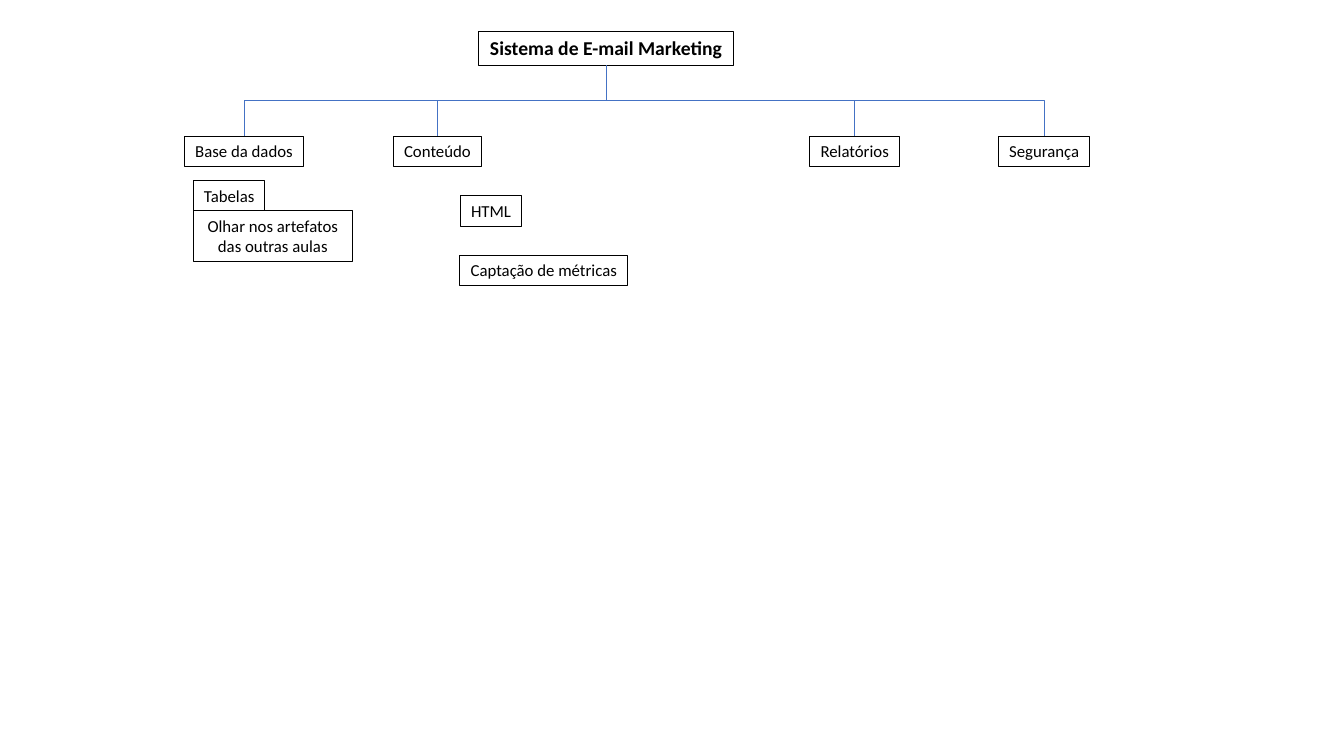
from lxml.etree import SubElement
from pptx import Presentation
from pptx.dml.color import RGBColor
from pptx.enum.shapes import MSO_CONNECTOR, MSO_SHAPE
from pptx.enum.text import MSO_ANCHOR, MSO_AUTO_SIZE, PP_ALIGN
from pptx.oxml.ns import qn
from pptx.util import Pt

BLACK = "000000"
BLUE = "4472C4"
HIGH = 21.8
ROW = 97.2
AREAS = [
    ("Base da dados", 131.8, 85),
    ("Conteúdo", 281.2, 62.6),
    ("Relatórios", 578.5, 64.1),
    ("Segurança", 713.5, 64.8),
]
ITEMS = [
    ("Tabelas", 138.2, 128.9, 51.1),
    ("HTML", 329.2, 139.7, 43.2),
    ("Captação de métricas", 328.4, 182.3, 120.2),
]


def color(code):
    return RGBColor.from_string(code)


def style(box, text, fit, size=12, bold=False, wrap=False):
    box.fill.background()
    box.line.color.rgb = color(BLACK)
    box.line.width = Pt(0.75)
    frame = box.text_frame
    frame.word_wrap = wrap
    frame.auto_size = fit
    frame.vertical_anchor = MSO_ANCHOR.TOP
    para = frame.paragraphs[0]
    para.alignment = PP_ALIGN.CENTER
    run = para.add_run()
    run.text = text
    font = run.font
    font.name = "Calibri"
    font.size = Pt(size)
    font.bold = bold
    font.color.rgb = color(BLACK)


def add_head(slide, text, left, top, width, height):
    head = slide.shapes.title
    head.left, head.top = Pt(left), Pt(top)
    head.width, head.height = Pt(width), Pt(height)
    style(head, text, MSO_AUTO_SIZE.NONE, 14, True)
    return head


def add_box(slide, text, left, top, width, height=HIGH, wrap=False):
    box = slide.shapes.add_shape(
        MSO_SHAPE.RECTANGLE, Pt(left), Pt(top), Pt(width), Pt(height))
    box.shadow.inherit = False
    style(box, text, MSO_AUTO_SIZE.SHAPE_TO_FIT_TEXT, wrap=wrap)
    return box


def add_link(slide, head, box):
    link = slide.shapes.add_connector(MSO_CONNECTOR.ELBOW, 0, 0, 0, 0)
    link.begin_connect(head, 2)
    link.end_connect(box, 0)
    start, end = link.begin_x, link.end_x
    top, drop = link.begin_y, link.end_y - link.begin_y
    span = abs(end - start)
    link.width, link.height = drop, span
    link.left = (start + end - drop) // 2
    link.top = top + (drop - span) // 2
    right = end > start
    props = link._element.spPr
    frame = props.find(qn("a:xfrm"))
    frame.set("rot", "16200000" if right else "5400000")
    frame.set("flipH", "1" if right else "0")
    link.line.color.rgb = color(BLUE)
    link.line.width = Pt(0.5)
    SubElement(props, qn("a:effectLst"))


def main():
    deck = Presentation()
    deck.slide_width, deck.slide_height = Pt(960), Pt(540)
    slide = deck.slides.add_slide(deck.slide_layouts[5])
    head = add_head(slide, "Sistema de E-mail Marketing", 341.8, 22.3, 182.2, 24.5)
    for text, left, width in AREAS:
        add_link(slide, head, add_box(slide, text, left, ROW, width))
    for text, left, top, width in ITEMS:
        add_box(slide, text, left, top, width)
    add_box(slide, "Olhar nos artefatos das outras aulas",
            138.2, 150.5, 113.4, 36.4, wrap=True)
    deck.save("out.pptx")


main()
